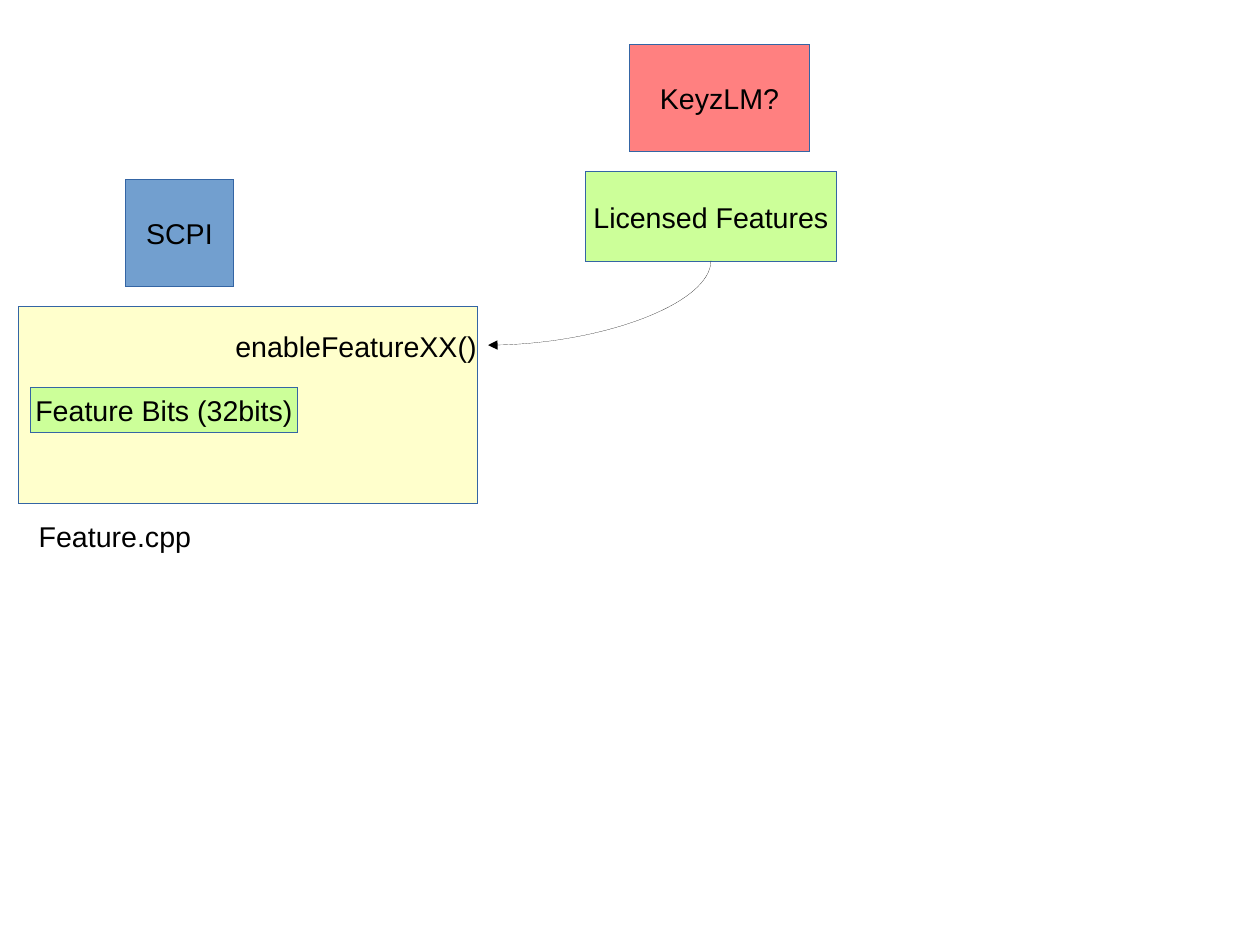
"""Build the feature licensing diagram slide."""
import pptx
import pptx.dml.color
import pptx.enum.shapes
import pptx.enum.text
import pptx.oxml.ns
import pptx.util
from lxml import etree

Inches = pptx.util.Inches
Pt = pptx.util.Pt
ALIGN = pptx.enum.text.PP_ALIGN
ANCHOR = pptx.enum.text.MSO_ANCHOR
AUTO_SIZE = pptx.enum.text.MSO_AUTO_SIZE
qn = pptx.oxml.ns.qn

CM_PER_INCH = 2.54
SLIDE_CM = (28, 21)
COLORS = {
    "file": "FFFFCC",
    "interface": "729FCF",
    "feature": "CCFF99",
    "manager": "FF8080",
    "outline": "3465A4",
    "ink": "000000",
}
BLOCKS = [
    ("", "file", (0.16, 2.68, 4.02, 1.73)),
    ("SCPI", "interface", (1.1, 1.57, 0.94, 0.94)),
    ("Licensed Features", "feature", (5.12, 1.5, 2.2, 0.79)),
    ("KeyzLM?", "manager", (5.51, 0.39, 1.57, 0.94)),
    ("Feature Bits (32bits)", "feature", (0.27, 3.39, 2.33, 0.39)),
]
LABELS = [
    ("Feature.cpp", (0.24, 4.49, 1.55, 0.38)),
    ("enableFeatureXX()", (1.96, 2.83, 2.32, 0.38)),
]
ENABLE_START, ENABLE_END = (6.22, 2.28), (4.27, 3.02)


def rgb(name):
    """Return the named colour."""
    return pptx.dml.color.RGBColor.from_string(COLORS[name])


def write(frame, text, align=ALIGN.LEFT, anchor=ANCHOR.TOP, auto_size=AUTO_SIZE.NONE):
    """Put one formatted line of text into a text frame."""
    frame.word_wrap = False
    frame.auto_size = auto_size
    frame.vertical_anchor = anchor
    paragraph = frame.paragraphs[0]
    paragraph.alignment = align
    run = paragraph.add_run()
    run.text = text
    run.font.name = "Arial"
    run.font.size = Pt(18)
    run.font.color.rgb = rgb("ink")


def draw_hairline(shape, color):
    """Give a shape the thinnest outline and return its line element."""
    shape.line.color.rgb = rgb(color)
    line = shape._element.spPr.find(qn("a:ln"))
    line.set("w", "0")
    return line


def add_block(slide, text, color, box):
    """Add a filled rectangle with centred text."""
    block = slide.shapes.add_shape(
        pptx.enum.shapes.MSO_SHAPE.RECTANGLE, *map(Inches, box))
    block.shadow.inherit = False
    block.fill.solid()
    block.fill.fore_color.rgb = rgb(color)
    draw_hairline(block, "outline")
    if text:
        write(block.text_frame, text, align=ALIGN.CENTER, anchor=ANCHOR.MIDDLE)


def add_curved_arrow(slide, start, end):
    """Add an arrow that leaves downwards and arrives from the right."""
    mid_x, mid_y = (start[0] + end[0]) / 2, (start[1] + end[1]) / 2
    half_run, half_drop = (start[0] - end[0]) / 2, (end[1] - start[1]) / 2
    corners = (mid_x - half_drop, mid_y - half_run,
               mid_x + half_drop, mid_y + half_run)
    arrow = slide.shapes.add_connector(
        pptx.enum.shapes.MSO_CONNECTOR.CURVE, *map(Inches, corners))
    line = draw_hairline(arrow, "ink")
    etree.SubElement(line, qn("a:tailEnd"), type="triangle")
    properties = arrow._element.spPr
    properties.find(qn("a:xfrm")).set("rot", "5400000")
    properties.find(qn("a:prstGeom")).set("prst", "curvedConnector2")
    etree.SubElement(properties, qn("a:effectLst"))


def main():
    """Lay out the diagram and save it."""
    deck = pptx.Presentation()
    deck.slide_width, deck.slide_height = (
        Inches(length / CM_PER_INCH) for length in SLIDE_CM)
    slide = deck.slides.add_slide(deck.slide_layouts[6])
    for text, color, box in BLOCKS:
        add_block(slide, text, color, box)
    for text, box in LABELS:
        label = slide.shapes.add_textbox(*map(Inches, box))
        write(label.text_frame, text, auto_size=AUTO_SIZE.SHAPE_TO_FIT_TEXT)
    add_curved_arrow(slide, ENABLE_START, ENABLE_END)
    deck.save("out.pptx")


if __name__ == "__main__":
    main()
